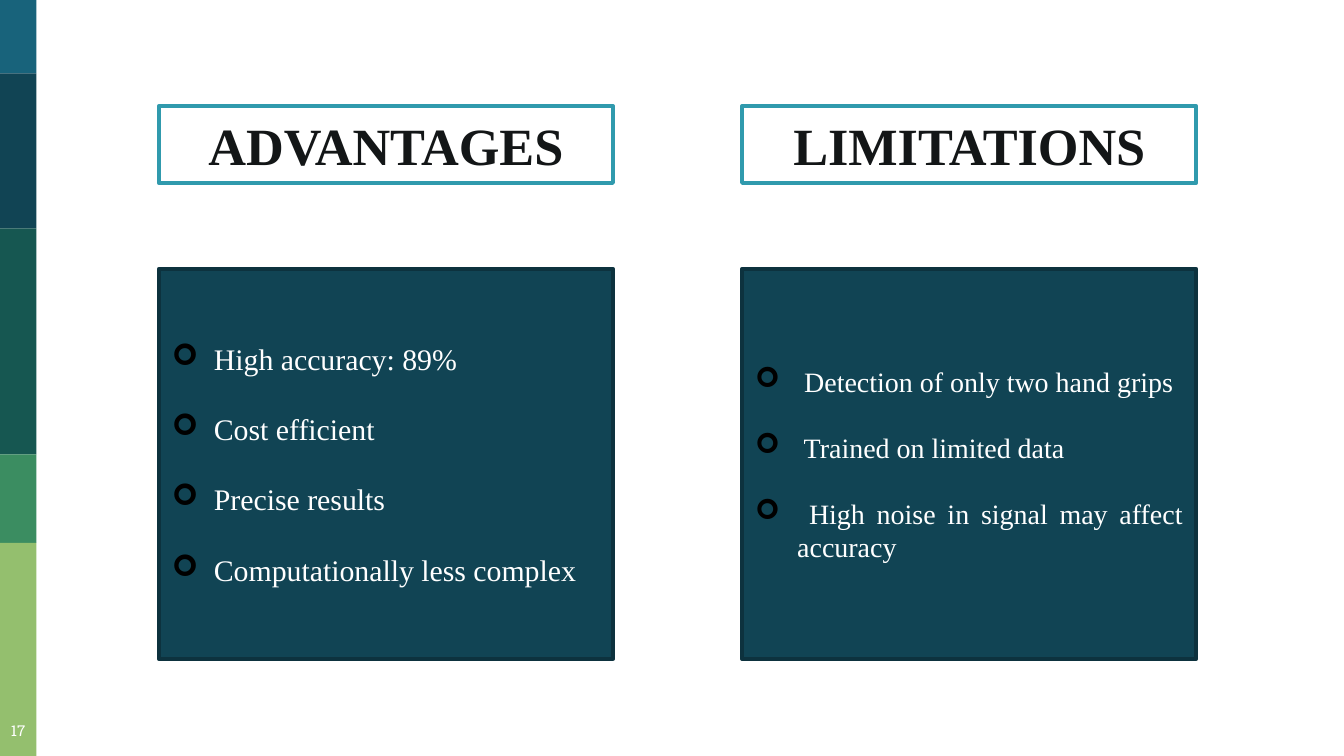
from lxml.etree import SubElement
from pptx import Presentation
from pptx.dml.color import RGBColor
from pptx.enum.shapes import MSO_SHAPE
from pptx.enum.text import MSO_ANCHOR, PP_ALIGN
from pptx.oxml.ns import qn
from pptx.util import Pt

PAGE_NUMBER = "17"
PANELS = [
    ("ADVANTAGES", 16, [
        "High accuracy: 89%",
        "Cost efficient",
        "Precise results",
        "Computationally less complex",
    ]),
    ("LIMITATIONS", 15, [
        " Detection of only two hand grips",
        " Trained on limited data",
        " High noise in signal may affect accuracy",
    ]),
]
STRIPES = [
    (0, "18637B"),
    (39.4, "114454"),
    (122.4, "165751"),
    (243.4, "3B8D61"),
    (290.9, "94BF6E"),
]
THEME = {
    "white": "FFFFFF", "ink": "131617", "bullet": "000000",
    "panel": "114454", "panel_line": "0D323E", "heading_line": "309AAD",
    "font": "Times New Roman", "number_font": "Roboto Slab",
    "heading_size": 28, "number_size": 8, "line_width": 2,
}

SLIDE_W, SLIDE_H = 720, 405
STRIPE_W = 19.5
PANEL_LEFT, PANEL_W, PANEL_STEP = 85, 243.4, 312.5
HEADING_TOP, HEADING_H = 56.9, 41.2
BODY_TOP, BODY_H = 144, 209
HANG = 22.5
LINE_HEIGHT = 1.15


def add_box(s, x, y, w, h, fill, line=None):
    sp = s.shapes.add_shape(MSO_SHAPE.RECTANGLE, Pt(x), Pt(y), Pt(w), Pt(h))
    sp.shadow.inherit = False
    sp.fill.solid()
    sp.fill.fore_color.rgb = RGBColor.from_string(fill)
    if line:
        sp.line.color.rgb = RGBColor.from_string(line)
        sp.line.width = Pt(THEME["line_width"])
    else:
        sp.line.fill.background()
    return sp


def add_run(p, text, size, color, font, bold=False):
    r = p.add_run()
    r.text = text
    r.font.size = Pt(size)
    r.font.name = font
    r.font.bold = bold
    r.font.color.rgb = RGBColor.from_string(color)


def add_bullet(p):
    pPr = p._p.get_or_add_pPr()
    pPr.set("marL", str(Pt(HANG)))
    pPr.set("indent", str(-Pt(HANG)))
    clr = SubElement(pPr, qn("a:buClr"))
    SubElement(clr, qn("a:srgbClr"), val=THEME["bullet"])
    SubElement(pPr, qn("a:buFont"), typeface="Wingdings")
    SubElement(pPr, qn("a:buChar"), char="➢")


def add_heading(s, x, text):
    sp = add_box(s, x, HEADING_TOP, PANEL_W, HEADING_H, THEME["white"], THEME["heading_line"])
    tf = sp.text_frame
    tf.vertical_anchor = MSO_ANCHOR.TOP
    p = tf.paragraphs[0]
    p.alignment = PP_ALIGN.CENTER
    add_run(p, text, THEME["heading_size"], THEME["ink"], THEME["font"], True)


def add_body(s, x, size, items):
    sp = add_box(s, x, BODY_TOP, PANEL_W, BODY_H, THEME["panel"], THEME["panel_line"])
    tf = sp.text_frame
    tf.word_wrap = True
    tf.vertical_anchor = MSO_ANCHOR.MIDDLE
    for i, item in enumerate(items):
        p = tf.add_paragraph() if i else tf.paragraphs[0]
        p.alignment = PP_ALIGN.JUSTIFY
        p.space_before = Pt(size * LINE_HEIGHT if i else 0)
        add_bullet(p)
        add_run(p, item, size, THEME["white"], THEME["font"])


def add_page_number(s):
    tf = s.shapes.add_textbox(0, Pt(386.6), Pt(STRIPE_W), Pt(12)).text_frame
    tf.margin_left = tf.margin_right = tf.margin_top = tf.margin_bottom = 0
    p = tf.paragraphs[0]
    p.alignment = PP_ALIGN.CENTER
    tf.word_wrap = True
    add_run(p, PAGE_NUMBER, THEME["number_size"], THEME["white"], THEME["number_font"])


def main():
    prs = Presentation()
    prs.slide_width, prs.slide_height = Pt(SLIDE_W), Pt(SLIDE_H)
    s = prs.slides.add_slide(prs.slide_layouts[6])
    bottoms = [top for top, _ in STRIPES[1:]] + [SLIDE_H]
    for (top, color), bottom in zip(STRIPES, bottoms):
        add_box(s, 0, top, STRIPE_W, bottom - top, color)
    add_page_number(s)
    for i, (heading, size, items) in enumerate(PANELS):
        x = PANEL_LEFT + i * PANEL_STEP
        add_body(s, x, size, items)
        add_heading(s, x, heading)
    prs.save("out.pptx")


if __name__ == "__main__":
    main()
